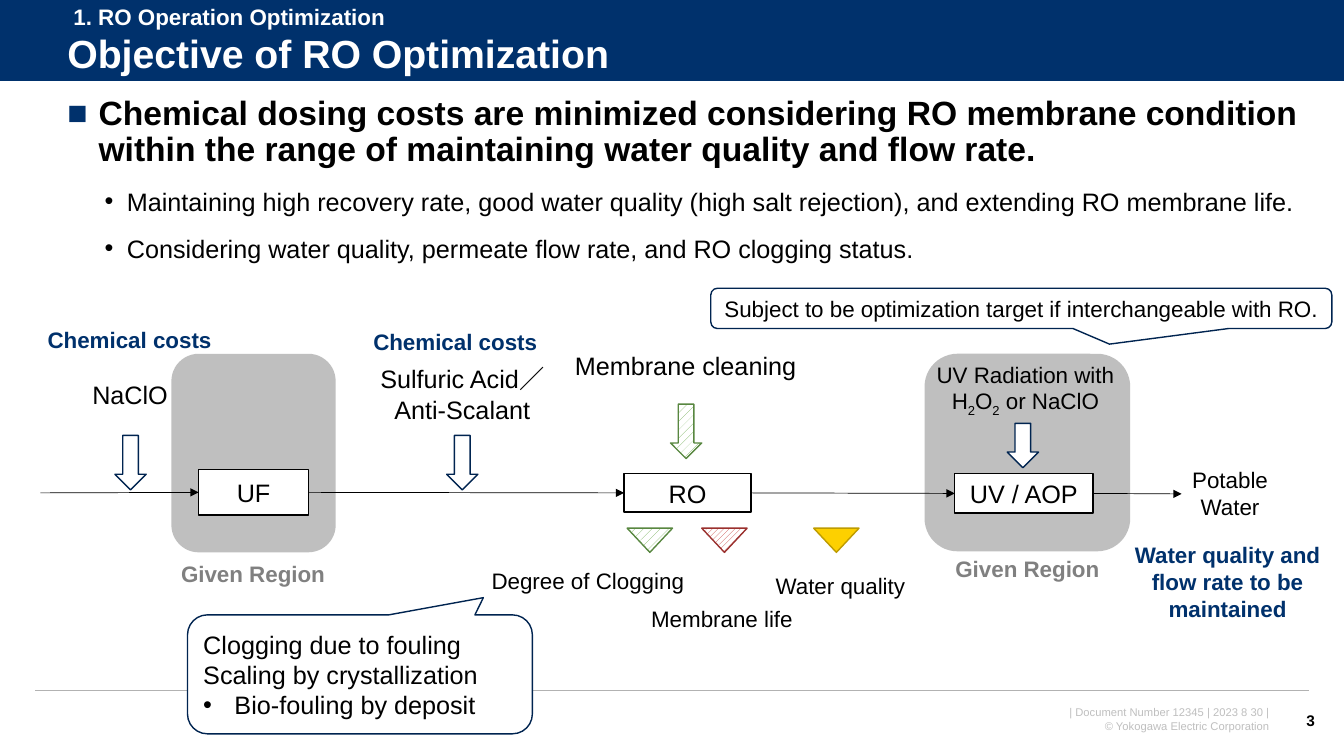
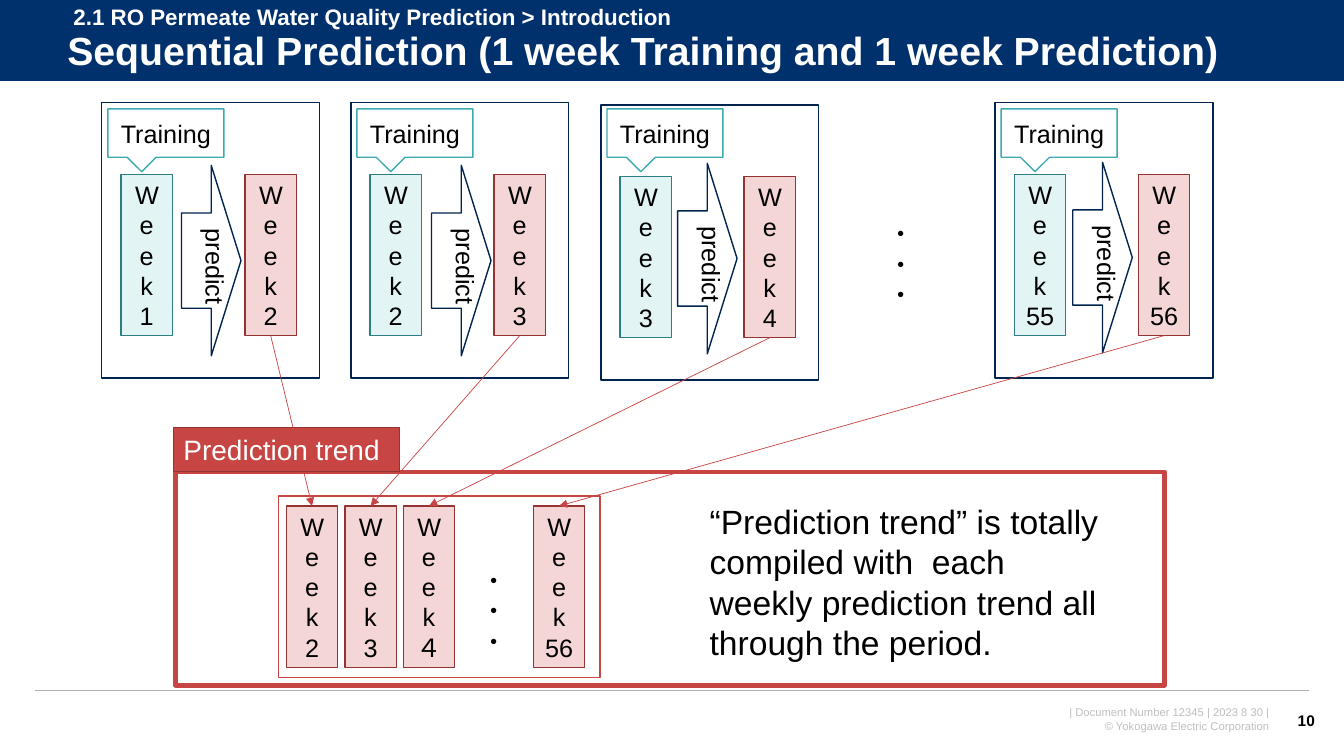
from dataclasses import dataclass
from typing import Optional

from lxml.etree import SubElement
from pptx import Presentation
from pptx.dml.color import RGBColor
from pptx.enum.dml import MSO_PATTERN
from pptx.enum.shapes import MSO_CONNECTOR, MSO_SHAPE
from pptx.enum.text import MSO_ANCHOR, PP_ALIGN
from pptx.oxml.ns import qn
from pptx.shapes.autoshape import Shape
from pptx.shapes.connector import Connector
from pptx.slide import Slide
from pptx.text.text import _Paragraph as Paragraph
from pptx.util import Inches, Pt

FONT = "Arial"
COLORS = {
    "navy": "00316C", "dark_navy": "002450", "white": "FFFFFF", "black": "000000",
    "rule": "B2B2B2", "silver": "BFBFBF", "gray": "808080",
    "gold": "FDD000", "dark_gold": "BE9C00", "green": "76B059", "dark_green": "588740",
    "red": "C74643", "dark_red": "9A302E", "brick": "933432", "pink": "F3D6D5",
    "teal": "3DAAB1", "dark_teal": "2D7E83", "mint": "E3F4F5",
}


@dataclass(frozen=True)
class Box:
    left: float
    top: float
    width: float
    height: float


@dataclass(frozen=True)
class Style:
    size: float = 18
    color: str = "black"
    bold: bool = False
    align: PP_ALIGN = PP_ALIGN.CENTER
    anchor: MSO_ANCHOR = MSO_ANCHOR.TOP
    wrap: bool = True


@dataclass(frozen=True)
class Label:
    text: str
    box: Box
    style: Style


@dataclass(frozen=True)
class Marker:
    kind: MSO_SHAPE
    box: Box
    fill: str
    line: str
    pattern: Optional[MSO_PATTERN] = None


@dataclass(frozen=True)
class Panel:
    left: float
    top: float
    arrow_left: float
    arrow_top: float
    training: str
    predicted: str


@dataclass(frozen=True)
class TrendWeek:
    left: float
    label: str


BODY = Style(18)
SMALL = Style(16)
LEFT = Style(18, align=PP_ALIGN.LEFT)
BOXED = Style(18, anchor=MSO_ANCHOR.MIDDLE)
COST = Style(16, "navy", True)
REGION = Style(16, "gray", True)
TITLE = Style(28, "white", True, PP_ALIGN.LEFT, MSO_ANCHOR.MIDDLE)
SECTION = Style(16, "white", True, PP_ALIGN.LEFT)
FOOTER = Style(8, "silver", align=PP_ALIGN.RIGHT)
PAGE = Style(11, "black", True, PP_ALIGN.RIGHT, MSO_ANCHOR.MIDDLE, False)

REGIONS = [Box(9.17, 3.51, 2.04, 1.96), Box(1.7, 3.51, 1.63, 1.97)]
LABELS = [
    Label("NaClO", Box(0.72, 3.71, 1.14, 0.4), BODY),
    Label("Sulfuric Acid／Anti-Scalant", Box(3.61, 3.56, 1.95, 0.71), BODY),
    Label("Potable Water", Box(11.72, 4.58, 0.96, 0.64), SMALL),
    Label("Water quality", Box(7.54, 5.63, 1.59, 0.37), SMALL),
    Label("Degree of Clogging", Box(4.77, 5.58, 2.12, 0.37), SMALL),
    Label("Membrane cleaning", Box(5.5, 3.43, 2.6, 0.4), BODY),
    Label("Membrane life", Box(6.22, 5.95, 1.88, 0.37), SMALL),
    Label("Given Region", Box(9.29, 5.46, 1.8, 0.37), REGION),
    Label("Given Region", Box(1.61, 5.51, 1.8, 0.37), REGION),
    Label("Chemical costs", Box(0.19, 3.19, 2.19, 0.37), COST),
    Label("Chemical costs", Box(3.42, 3.21, 2.19, 0.37), COST),
    Label("Water quality and flow rate to be maintained", Box(11.02, 5.32, 2.31, 0.91), COST),
]
DOWN, TRIANGLE = MSO_SHAPE.DOWN_ARROW, MSO_SHAPE.ISOSCELES_TRIANGLE
DOTS, STRIPES = MSO_PATTERN.PERCENT_20, MSO_PATTERN.WIDE_UPWARD_DIAGONAL
MARKERS = [
    Marker(DOWN, Box(9.99, 4.2, 0.31, 0.44), "white", "dark_navy"),
    Marker(DOWN, Box(1.14, 4.32, 0.31, 0.54), "white", "dark_navy"),
    Marker(DOWN, Box(4.43, 4.32, 0.31, 0.54), "white", "dark_navy"),
    Marker(DOWN, Box(6.65, 4.01, 0.31, 0.54), "green", "dark_green", DOTS),
    Marker(TRIANGLE, Box(6.22, 5.24, 0.45, 0.24), "green", "dark_green", DOTS),
    Marker(TRIANGLE, Box(6.96, 5.24, 0.45, 0.24), "red", "dark_red", STRIPES),
    Marker(TRIANGLE, Box(8.07, 5.24, 0.45, 0.24), "gold", "dark_gold"),
]
PANELS = [
    Panel(1.01, 1.02, 1.8, 1.64, "k 1", "k 2"),
    Panel(3.48, 1.02, 4.28, 1.64, "k 2", "k 3"),
    Panel(5.96, 1.04, 6.72, 1.62, "k 3", "k 4"),
    Panel(9.87, 1.02, 10.64, 1.61, "k 55", "k 56"),
]
TREND = [TrendWeek(2.84, "k 2"), TrendWeek(3.42, "k 3"),
         TrendWeek(4.0, "k４"), TrendWeek(5.29, "k 56")]


def rgb(name: str) -> RGBColor:
    return RGBColor.from_string(COLORS[name])


def place(box: Box) -> tuple:
    return Inches(box.left), Inches(box.top), Inches(box.width), Inches(box.height)


def format_paragraph(paragraph: Paragraph, style: Style) -> None:
    paragraph.alignment = style.align
    for run in paragraph.runs:
        run.font.name = FONT
        run.font.size = Pt(style.size)
        run.font.bold = style.bold
        run.font.color.rgb = rgb(style.color)


def write(shape: Shape, text: str, style: Style) -> None:
    frame = shape.text_frame
    frame.text = text
    frame.word_wrap = style.wrap
    frame.vertical_anchor = style.anchor
    for paragraph in frame.paragraphs:
        format_paragraph(paragraph, style)


def add_text(slide: Slide, text: str, box: Box, style: Style) -> Shape:
    shape = slide.shapes.add_textbox(*place(box))
    write(shape, text, style)
    return shape


def add_block(slide: Slide, kind: MSO_SHAPE, box: Box, fill: Optional[str] = None,
              line: Optional[str] = None, width: float = 1, text: str = "",
              style: Style = BOXED) -> Shape:
    shape = slide.shapes.add_shape(kind, *place(box))
    shape.shadow.inherit = False
    if fill:
        shape.fill.solid()
        shape.fill.fore_color.rgb = rgb(fill)
    else:
        shape.fill.background()
    if line:
        shape.line.color.rgb = rgb(line)
        shape.line.width = Pt(width)
    else:
        shape.line.fill.background()
    if text:
        write(shape, text, style)
    return shape


def add_callout(slide: Slide, kind: MSO_SHAPE, box: Box, line: str,
                pointer: tuple[float, float], text: str, style: Style) -> Shape:
    shape = add_block(slide, kind, box, "white", line, text=text, style=style)
    shape.adjustments[0], shape.adjustments[1] = pointer
    return shape


def add_line(slide: Slide, start: tuple[float, float], end: tuple[float, float],
             color: str, width: float, arrow: bool = False) -> Connector:
    points = [Inches(value) for value in (*start, *end)]
    connector = slide.shapes.add_connector(MSO_CONNECTOR.STRAIGHT, *points)
    connector.line.color.rgb = rgb(color)
    connector.line.width = Pt(width)
    if arrow:
        SubElement(connector.line._get_or_add_ln(), qn("a:tailEnd"), type="triangle")
    SubElement(connector.element.spPr, qn("a:effectLst"))
    return connector


def join(slide: Slide, start: Shape, start_side: int, end: Shape, end_side: int,
         color: str) -> None:
    connector = add_line(slide, (0, 0), (1, 1), color, 0.5, arrow=True)
    connector.begin_connect(start, start_side)
    connector.end_connect(end, end_side)


def add_bullet(paragraph: Paragraph, character: str, margin: float, hanging: float,
               color: str = "black") -> None:
    properties = paragraph._p.get_or_add_pPr()
    properties.set("marL", str(Inches(margin)))
    properties.set("indent", str(-Inches(hanging)))
    bullet_color = SubElement(properties, qn("a:buClr"))
    SubElement(bullet_color, qn("a:srgbClr"), val=COLORS[color])
    SubElement(properties, qn("a:buFont"), typeface=FONT)
    SubElement(properties, qn("a:buChar"), char=character)


def start_slide(presentation: Presentation, section: str, title: str, title_top: float,
                number: int) -> Slide:
    slide = presentation.slides.add_slide(presentation.slide_layouts[6])
    add_text(slide, "| Document Number 12345 | 2023 8 30 |\n© Yokogawa Electric Corporation",
             Box(9.48, 6.95, 3.21, 0.37), FOOTER)
    add_block(slide, MSO_SHAPE.RECTANGLE, Box(0, 0, 13.33, 0.81), "navy")
    add_line(slide, (0, 0.81), (13.33, 0.81), "white", 0.75)
    add_line(slide, (0.35, 6.85), (12.98, 6.85), "rule", 1)
    title_shape = add_text(slide, title, Box(0.57, title_top, 12.47, 0.57), TITLE)
    title_shape.text_frame.paragraphs[0].line_spacing = 0.9
    add_text(slide, section, Box(0.63, -0.02, 6.32, 0.37), SECTION)
    add_text(slide, str(number), Box(12.7, 6.95, 0.44, 0.4), PAGE)
    return slide


def add_objective_text(slide: Slide) -> None:
    body = add_text(
        slide,
        "Chemical dosing costs are minimized considering RO membrane condition within "
        "the range of maintaining water quality and flow rate.\n"
        "Maintaining high recovery rate, good water quality (high salt rejection), and "
        "extending RO membrane life.\n"
        "Considering water quality, permeate flow rate, and RO clogging status.",
        Box(0.57, 0.91, 12.4, 1.8), LEFT)
    headline, *details = body.text_frame.paragraphs
    add_bullet(headline, "■", 0.31, 0.31, "navy")
    format_paragraph(headline, Style(24, bold=True, align=PP_ALIGN.LEFT))
    headline.line_spacing = 0.9
    for paragraph in details:
        add_bullet(paragraph, "•", 0.59, 0.22)
        paragraph.space_before = Pt(12)


def add_dosing_note(slide: Slide) -> None:
    shape = add_text(slide, "", Box(9.06, 3.53, 2.22, 0.64), SMALL)
    paragraph = shape.text_frame.paragraphs[0]
    for text in ("UV Radiation with H", "2", "O", "2", " or NaClO"):
        run = paragraph.add_run()
        run.text = text
        if text == "2":
            run._r.get_or_add_rPr().set("baseline", "-25000")
    format_paragraph(paragraph, SMALL)


def add_marker(slide: Slide, marker: Marker) -> None:
    shape = add_block(slide, marker.kind, marker.box, marker.fill, marker.line)
    if marker.pattern is not None:
        shape.fill.patterned()
        shape.fill.pattern = marker.pattern
        shape.fill.fore_color.rgb = rgb(marker.fill)
        shape.fill.back_color.rgb = rgb("white")
    if marker.kind == TRIANGLE:
        shape.rotation = 180


def build_objective(presentation: Presentation) -> None:
    slide = start_slide(presentation, "1. RO Operation Optimization",
                        "Objective of RO Optimization", 0.27, 3)
    for region in REGIONS:
        add_block(slide, MSO_SHAPE.ROUNDED_RECTANGLE, region, "silver")
    add_objective_text(slide)
    steps = [("UF", Box(1.97, 4.66, 1.09, 0.45)), ("RO", Box(6.19, 4.7, 1.26, 0.38)),
             ("UV / AOP", Box(9.47, 4.7, 1.37, 0.39))]
    units = [add_block(slide, MSO_SHAPE.RECTANGLE, box, "white", "black", text=name)
             for name, box in steps]
    add_line(slide, (0.4, 4.89), (1.97, 4.89), "black", 0.5, True).end_connect(units[0], 1)
    for unit, following in zip(units, units[1:]):
        join(slide, unit, 3, following, 1, "black")
    add_line(slide, (10.84, 4.9), (11.72, 4.9), "black", 0.5, True).begin_connect(units[-1], 3)
    for marker in MARKERS:
        add_marker(slide, marker)
    for label in LABELS:
        add_text(slide, label.text, label.box, label.style)
    add_dosing_note(slide)
    rounded = MSO_SHAPE.ROUNDED_RECTANGULAR_CALLOUT
    add_callout(slide, rounded, Box(7.05, 2.86, 6.16, 0.4), "dark_navy", (0.142, 0.886),
                "Subject to be optimization target if interchangeable with RO.",
                Style(16, anchor=MSO_ANCHOR.MIDDLE))
    causes = add_callout(
        slide, rounded, Box(1.86, 6.1, 3.42, 1.18), "dark_navy", (0.358, -0.645),
        "Clogging due to fouling\nScaling by crystallization\nBio-fouling by deposit",
        Style(18, align=PP_ALIGN.LEFT, anchor=MSO_ANCHOR.MIDDLE))
    add_bullet(causes.text_frame.paragraphs[-1], "•", 0.31, 0.31)


def add_week(slide: Slide, left: float, top: float, label: str, fill: str, line: str) -> Shape:
    return add_block(slide, MSO_SHAPE.RECTANGLE, Box(left, top, 0.51, 1.6), fill, line,
                     text=f"We\ne\n{label}")


def add_panel(slide: Slide, panel: Panel) -> Shape:
    add_block(slide, MSO_SHAPE.RECTANGLE, Box(panel.left, panel.top, 2.16, 2.73),
              "white", "dark_navy")
    week_top = panel.top + 0.71
    add_week(slide, panel.left + 0.19, week_top, panel.training, "mint", "dark_teal")
    predicted = add_week(slide, panel.left + 1.42, week_top, panel.predicted, "pink", "brick")
    add_callout(slide, MSO_SHAPE.RECTANGULAR_CALLOUT, Box(panel.left + 0.06, 1.08, 1.15, 0.48),
                "teal", (-0.208, 0.8), "Training", BOXED)
    add_block(slide, MSO_SHAPE.RIGHT_ARROW, Box(panel.arrow_left, panel.arrow_top, 0.59, 1.89),
              "white", "dark_navy")
    caption = add_text(slide, "predict",
                       Box(panel.arrow_left + 0.04, panel.arrow_top + 0.53, 0.5, 0.86),
                       Style(18, align=PP_ALIGN.LEFT, wrap=False))
    caption.element.txBody.bodyPr.set("vert", "eaVert")
    return predicted


def build_prediction(presentation: Presentation) -> None:
    slide = start_slide(presentation, "2.1 RO Permeate Water Quality Prediction > Introduction",
                        "Sequential Prediction (1 week Training and 1 week Prediction)", 0.24, 10)
    add_block(slide, MSO_SHAPE.RECTANGLE, Box(1.74, 4.68, 9.81, 2.12), line="red", width=3)
    for left, top in ((8.71, 2.12), (4.68, 5.56)):
        add_text(slide, "・・・", Box(left, top, 0.58, 0.4), LEFT)
    predictions = [add_panel(slide, panel) for panel in PANELS]
    for predicted, week in zip(predictions, TREND):
        target = add_week(slide, week.left, 5.02, week.label, "pink", "brick")
        join(slide, predicted, 2, target, 0, "red")
    add_block(slide, MSO_SHAPE.RECTANGLE, Box(1.72, 4.24, 2.24, 0.44), "red", "brick",
              text="Prediction trend",
              style=Style(20, "white", align=PP_ALIGN.LEFT, wrap=False))
    add_text(slide, "“Prediction trend” is totally compiled with  each weekly prediction "
             "trend all through the period.", Box(6.94, 4.92, 4.18, 1.72),
             Style(24, align=PP_ALIGN.LEFT))
    add_block(slide, MSO_SHAPE.RECTANGLE, Box(2.76, 4.92, 3.19, 1.8), line="red")


def main() -> None:
    presentation = Presentation()
    presentation.slide_width, presentation.slide_height = Inches(13.33), Inches(7.5)
    build_objective(presentation)
    build_prediction(presentation)
    presentation.save("out.pptx")


if __name__ == "__main__":
    main()
